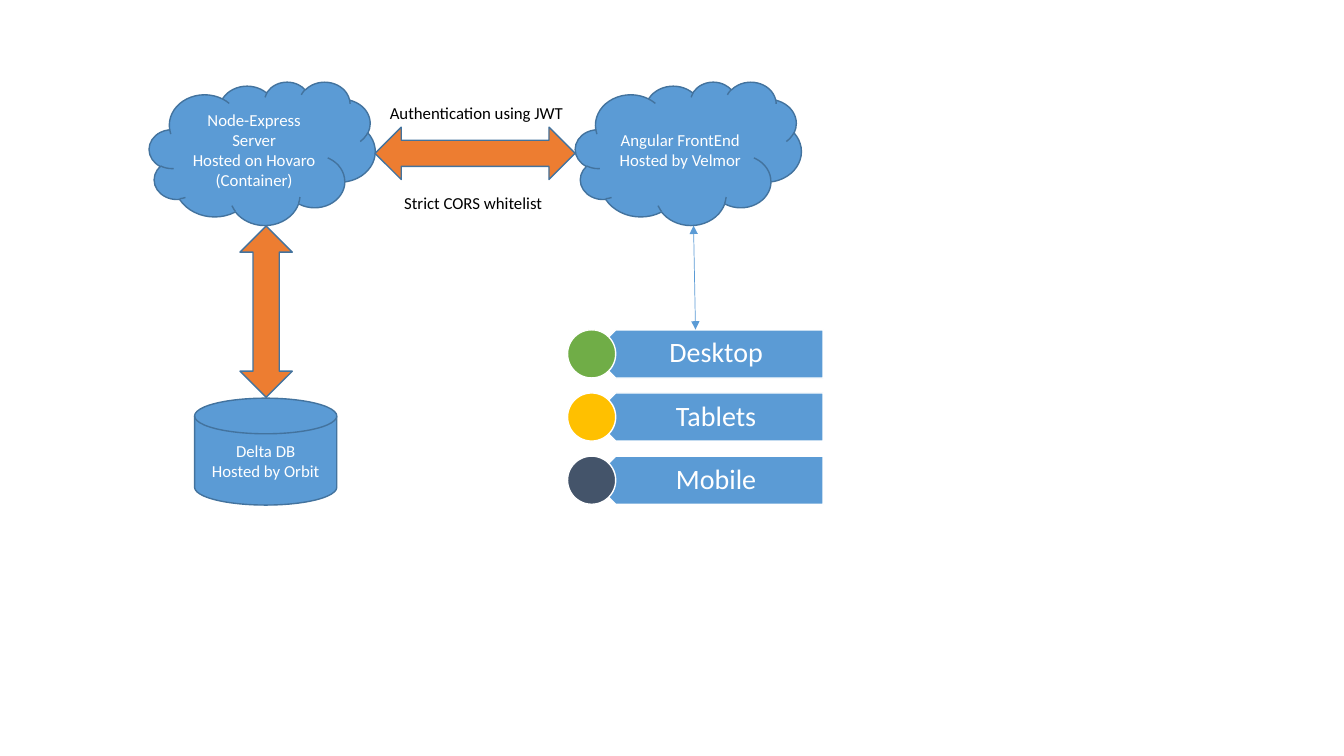
import pptx
import pptx.dml.color
import pptx.enum.shapes
import pptx.enum.text
import pptx.oxml.ns
import pptx.util
from lxml import etree

Pt = pptx.util.Pt
SHAPE = pptx.enum.shapes.MSO_SHAPE
ALIGN = pptx.enum.text.PP_ALIGN
ANCHOR = pptx.enum.text.MSO_ANCHOR
AUTO = pptx.enum.text.MSO_AUTO_SIZE

COLORS = {"blue": "5B9BD5", "edge": "43739E", "orange": "ED7D31", "white": "FFFFFF",
          "black": "000000", "green": "70AD47", "gold": "FFC000", "slate": "44546A"}

# Boxes are left, top, width, height
HOSTS = [
    (SHAPE.FLOWCHART_MAGNETIC_DISK, (139, 284.4, 101.6, 76.4),
     ["Delta DB", "Hosted by Orbit"]),
    (SHAPE.CLOUD, (106.6, 58.4, 161.4, 102.4),
     ["Node-Express Server", "Hosted on Hovaro", "(Container)"]),
    (SHAPE.CLOUD, (411, 58.4, 161.4, 102.4),
     ["Angular FrontEnd", "Hosted by Velmor"]),
]
ARROWS = [((128.9, 203.9, 122.4, 37.4), 270), ((267.9, 90.8, 142.9, 37.4), 180)]
NOTES = [("Authentication using JWT", (271.4, 69.8, 139.7, 21.8)),
         ("Strict CORS whitelist", (281.6, 134, 114.6, 21.8))]
DEVICES = [("Desktop", "green"), ("Tablets", "gold"), ("Mobile", "slate")]
DEVICE_TOP, DEVICE_PITCH, DEVICE_H = 235.6, 45.1, 34.4
PLATE_X, PLATE_W, LABEL_X, LABEL_W = 422.6, 165.4, 431.2, 156.8
CLIENT_LINK = (495.4, 161.2, 496.8, 235.4)


def rgb(name):
    """Look up a palette colour."""
    return pptx.dml.color.RGBColor.from_string(COLORS[name])


def add_shape(shapes, kind, box, fill, edge="edge", rotation=0):
    """Add a filled and outlined preset shape."""
    sp = shapes.add_shape(kind, *map(Pt, box))
    sp.shadow.inherit = False
    sp.rotation = rotation
    sp.fill.solid()
    sp.fill.fore_color.rgb = rgb(fill)
    sp.line.color.rgb = rgb(edge)
    sp.line.width = Pt(1)
    return sp


def write(sp, lines, color="white", size=12, align=ALIGN.CENTER, frame=None, para=None):
    """Fill a shape with one paragraph per line."""
    tf = sp.text_frame
    settings = {"word_wrap": True, "vertical_anchor": ANCHOR.MIDDLE, **(frame or {})}
    for name, value in settings.items():
        setattr(tf, name, value)
    for i, line in enumerate(lines):
        p = tf.paragraphs[0] if i == 0 else tf.add_paragraph()
        for name, value in {"alignment": align, **(para or {})}.items():
            setattr(p, name, value)
        r = p.add_run()
        r.text = line
        for name, value in {"name": "Calibri", "size": Pt(size)}.items():
            setattr(r.font, name, value)
        r.font.color.rgb = rgb(color)


def add_link(shapes, ends):
    """Add a thin line with an arrowhead at both ends."""
    link = shapes.add_connector(pptx.enum.shapes.MSO_CONNECTOR.STRAIGHT, *map(Pt, ends))
    link.line.color.rgb = rgb("blue")
    link.line.width = Pt(0.5)
    ln = link.line._get_or_add_ln()
    for tag in ("a:headEnd", "a:tailEnd"):
        etree.SubElement(ln, pptx.oxml.ns.qn(tag), type="triangle")
    etree.SubElement(ln.getparent(), pptx.oxml.ns.qn("a:effectLst"))


def add_device(shapes, top, name, color):
    """Add a plate, its label and the round marker on its left end."""
    add_shape(shapes, SHAPE.PENTAGON, (PLATE_X, top, PLATE_W, DEVICE_H),
              "blue", "white", 180)
    label = shapes.add_textbox(*map(Pt, (LABEL_X, top, LABEL_W, DEVICE_H)))
    write(label, [name], size=20,
          frame={"margin_left": Pt(15.2), "margin_right": Pt(11.4),
                 "margin_top": Pt(6), "margin_bottom": Pt(6)},
          para={"line_spacing": 0.9, "space_after": Pt(7)})
    add_shape(shapes, SHAPE.OVAL, (PLATE_X - DEVICE_H / 2, top, DEVICE_H, DEVICE_H),
              color, "white")


prs = pptx.Presentation()
prs.slide_width, prs.slide_height = Pt(960), Pt(540)
slide = prs.slides.add_slide(prs.slide_layouts[6])

for kind, box, lines in HOSTS:
    write(add_shape(slide.shapes, kind, box, "blue"), lines)
for box, rotation in ARROWS:
    add_shape(slide.shapes, SHAPE.LEFT_RIGHT_ARROW, box, "orange", rotation=rotation)
for text, box in NOTES:
    note = slide.shapes.add_textbox(*map(Pt, box))
    write(note, [text], "black", align=ALIGN.LEFT,
          frame={"word_wrap": False, "vertical_anchor": ANCHOR.TOP,
                 "auto_size": AUTO.SHAPE_TO_FIT_TEXT})
devices = slide.shapes.add_group_shape()
for i, (name, color) in enumerate(DEVICES):
    add_device(devices.shapes, DEVICE_TOP + i * DEVICE_PITCH, name, color)
add_link(slide.shapes, CLIENT_LINK)

prs.save("out.pptx")
